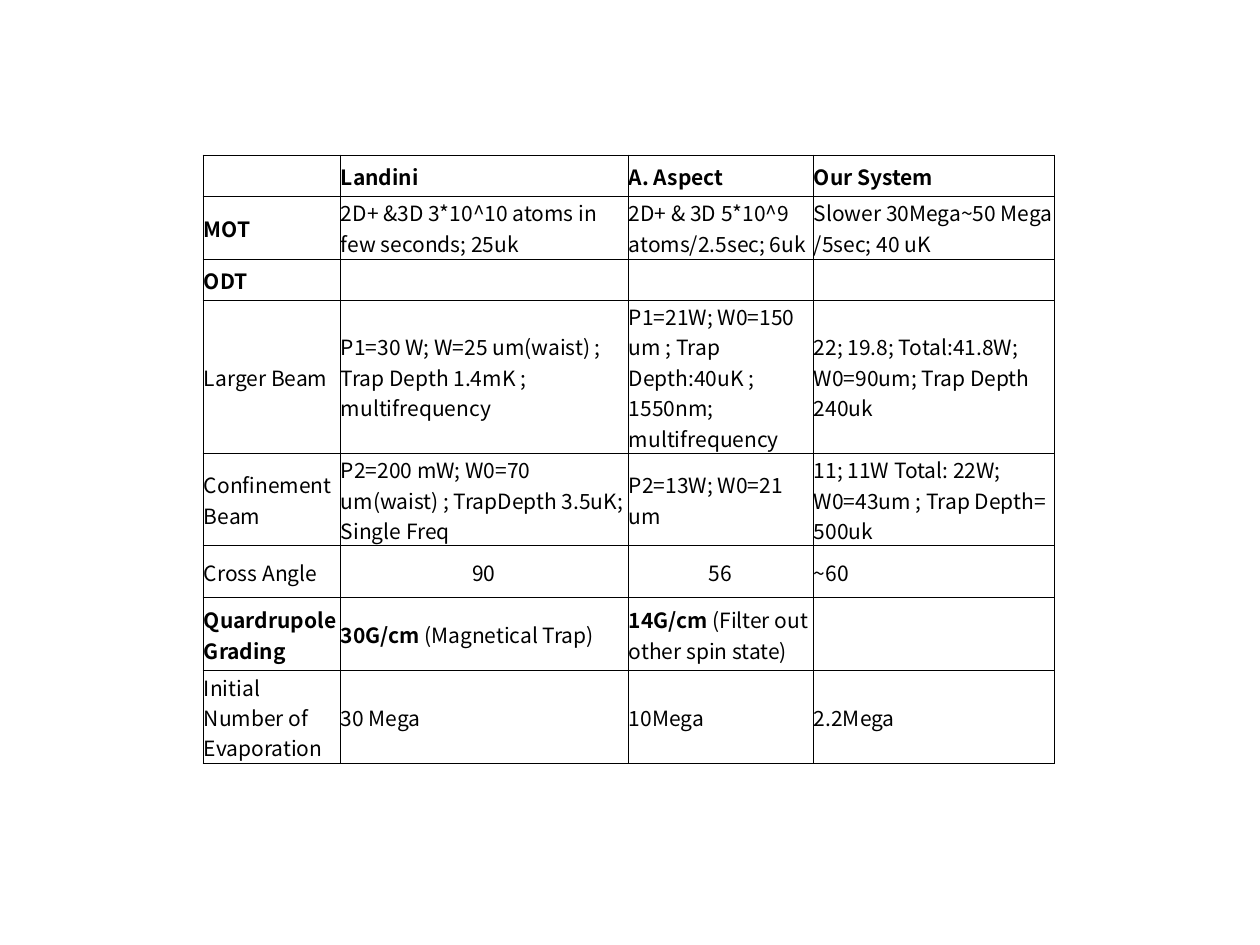
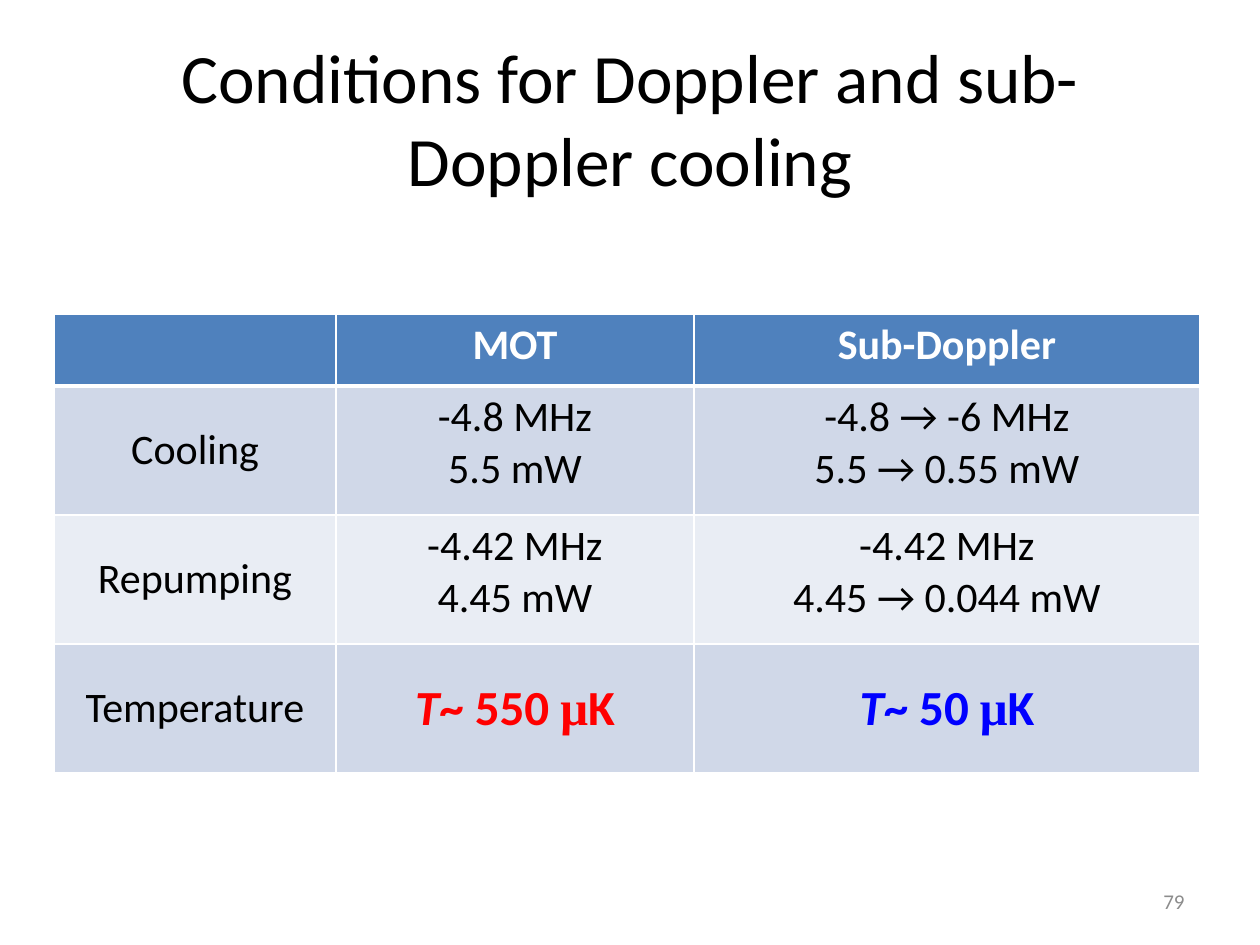
from dataclasses import dataclass, field
from typing import NamedTuple

from lxml.etree import SubElement as Sub
from pptx import Presentation as Deck
from pptx.dml.color import RGBColor as RGB
from pptx.enum.text import MSO_ANCHOR as Anchor, PP_ALIGN as Align
from pptx.oxml.ns import qn
from pptx.util import Emu, Pt

SCALE = 914400 / 126  # EMU in one px
WIDE, HIGH = 1260, 945


@dataclass(frozen=True)
class Theme:
    black: str = "000000"
    white: str = "FFFFFF"
    grey: str = "8C8C8C"
    red: str = "FF0000"
    blue: str = "0000FF"
    head: str = "4F81BD"
    bands: tuple[str, str] = ("D0D8E8", "E9EDF4")
    sans: str = "Calibri"
    serif: str = "Times New Roman"
    dense: str = "Noto Sans CJK TC"
    title: float = 39.6
    large: float = 28
    body: float = 24
    small: float = 12


T = Theme()


class Box(NamedTuple):
    left: int
    top: int
    width: int
    height: int


class Run(NamedTuple):
    text: str
    style: dict = {}


class Line(NamedTuple):
    color: str
    width: float


@dataclass
class Cell:
    paras: list[list[Run]]
    style: dict
    align: Align = Align.LEFT
    anchor: Anchor = Anchor.MIDDLE
    fill: str | None = None
    edges: dict[str, Line] = field(default_factory=dict)
    inset: tuple[int, int, int, int] = (13, 6, 13, 6)


def px(size: float) -> Emu:
    return Emu(round(size * SCALE))


def put(item: object, values: dict) -> None:
    for name, value in values.items():
        setattr(item, name, value)


def font(size: float, name: str = T.sans, color: str = T.black, **more: bool) -> dict:
    return {"size": Pt(size), "name": name, "color": color, **more}


def write(frame, paras: list[list[Run]], style: dict, align: Align) -> None:
    for i, runs in enumerate(paras):
        para = frame.add_paragraph() if i else frame.paragraphs[0]
        para.alignment = align
        for text, extra in runs:
            run = para.add_run()
            run.text = text
            look = {**style, **extra}
            run.font.color.rgb = RGB.from_string(look.pop("color"))
            put(run.font, look)


def add_text(slide, box: Box, text: str, style: dict, align: Align) -> None:
    frame = slide.shapes.add_textbox(*map(px, box)).text_frame
    put(frame, {"word_wrap": True, "vertical_anchor": Anchor.MIDDLE})
    write(frame, [[Run(text)]], style, align)


def draw_cell(cell, data: Cell) -> None:
    sides = ("margin_left", "margin_top", "margin_right", "margin_bottom")
    put(cell, dict(zip(sides, map(px, data.inset))))
    cell.vertical_anchor = data.anchor
    props = cell._tc.get_or_add_tcPr()
    for side in "LRTB":
        line = data.edges[side]
        edge = Sub(props, qn(f"a:ln{side}"), w=str(Pt(line.width)))
        Sub(Sub(edge, qn("a:solidFill")), qn("a:srgbClr"), val=line.color)
    if data.fill:
        cell.fill.solid()
        cell.fill.fore_color.rgb = RGB.from_string(data.fill)
    else:
        cell.fill.background()
    write(cell.text_frame, data.paras, data.style, data.align)


def add_grid(slide, left: int, top: int, cols: list[int], rows: list[int],
             cells: list[list[Cell]]) -> None:
    box = Box(left, top, sum(cols), sum(rows))
    grid = slide.shapes.add_table(len(rows), len(cols), *map(px, box)).table
    put(grid, {"first_row": False, "horz_banding": False})
    for col, width in zip(grid.columns, cols):
        col.width = px(width)
    for row, height, line in zip(grid.rows, rows, cells):
        row.height = px(height)
        for cell, data in zip(row.cells, line):
            draw_cell(cell, data)


# Trap comparison
BOLD = {"bold": True}
TRAPS = [
    ["", "Landini", "A. Aspect", "Our System"],
    ["MOT", "2D+ &3D 3*10^10 atoms in few seconds; 25uk",
     "2D+ & 3D 5*10^9 atoms/2.5sec; 6uk", "Slower 30Mega~50 Mega /5sec; 40 uK"],
    ["ODT", "", "", ""],
    ["Larger Beam", "P1=30 W; W=25 um(waist) ; Trap Depth 1.4mK ; multifrequency",
     "P1=21W; W0=150 um ; Trap Depth:40uK ; 1550nm; multifrequency",
     "22; 19.8; Total:41.8W; W0=90um; Trap Depth 240uk"],
    ["Confinement Beam", "P2=200 mW; W0=70 um(waist) ; TrapDepth 3.5uK; Single Freq",
     "P2=13W; W0=21 um", "11; 11W Total: 22W; W0=43um ; Trap Depth= 500uk"],
    ["Cross Angle", "90", "56", "~60"],
    ["Quardrupole Grading", [Run("30G/cm", BOLD), Run(" (Magnetical Trap)")],
     [Run("14G/cm ", BOLD), Run("(Filter out other spin state)")], ""],
    ["Initial Number of Evaporation", "30 Mega", "10Mega", "2.2Mega"],
]
STRONG = {"MOT", "ODT", "Quardrupole Grading", *TRAPS[0]}


def trap_cell(item: str | list[Run]) -> Cell:
    plain = isinstance(item, str)
    runs = [Run(item)] if plain and item else item or []
    return Cell([runs], font(T.small, T.dense, bold=plain and item in STRONG),
                align=Align.CENTER if plain and item.isdigit() else Align.LEFT,
                edges=dict.fromkeys("LRTB", Line(T.black, 0.5)), inset=(1, 1, 1, 0))


def trap_slide(slide) -> None:
    add_grid(slide, 203, 155, [137, 288, 185, 242], [41, 63, 41, 94, 73, 52, 73, 63],
             [[trap_cell(item) for item in row] for row in TRAPS])


# Cooling conditions
def degrees(value: int, color: str) -> list[list[Run]]:
    base = {"size": Pt(T.large), "color": color, "bold": True}
    return [[Run("T", {**base, "italic": True}), Run(f"~ {value} ", base),
             Run("μ", {**base, "name": T.serif}), Run("K", base)]]


def lines(*texts: str) -> list[list[Run]]:
    return [[Run(text)] for text in texts if text]


COOLING = [
    [[[]], lines("MOT"), lines("Sub-Doppler")],
    [lines("Cooling"), lines("-4.8 MHz", "5.5 mW"),
     lines("-4.8 → -6 MHz", "5.5 → 0.55 mW")],
    [lines("Repumping"), lines("-4.42 MHz", "4.45 mW"),
     lines("-4.42 MHz", "4.45 → 0.044 mW")],
    [lines("Temperature"), degrees(550, T.red), degrees(50, T.blue)],
]


def cool_cell(row: int, col: int, paras: list[list[Run]]) -> Cell:
    head = row == 0
    thin, thick = Line(T.white, 1), Line(T.white, 3)
    edges = {"L": thin, "R": thin, "T": thick if row == 1 else thin,
             "B": thick if head else thin}
    middle = not head and (col == 0 or row == len(COOLING) - 1)
    return Cell(paras, font(T.body, color=T.white if head else T.black, bold=head),
                Align.CENTER, Anchor.MIDDLE if middle else Anchor.TOP,
                T.head if head else T.bands[(row - 1) % 2], edges)


def cool_slide(slide) -> None:
    add_text(slide, Box(63, 38, 1134, 158),
             "Conditions for Doppler and sub-Doppler cooling", font(T.title), Align.CENTER)
    add_text(slide, Box(903, 876, 294, 50), "79", font(T.small, color=T.grey), Align.RIGHT)
    add_grid(slide, 54, 314, [282, 358, 506], [72] + [129] * 3,
             [[cool_cell(r, c, paras) for c, paras in enumerate(row)]
              for r, row in enumerate(COOLING)])


def main() -> None:
    deck = Deck()
    put(deck, {"slide_width": px(WIDE), "slide_height": px(HIGH)})
    for build in (trap_slide, cool_slide):
        build(deck.slides.add_slide(deck.slide_layouts[6]))
    deck.save("out.pptx")


if __name__ == "__main__":
    main()
